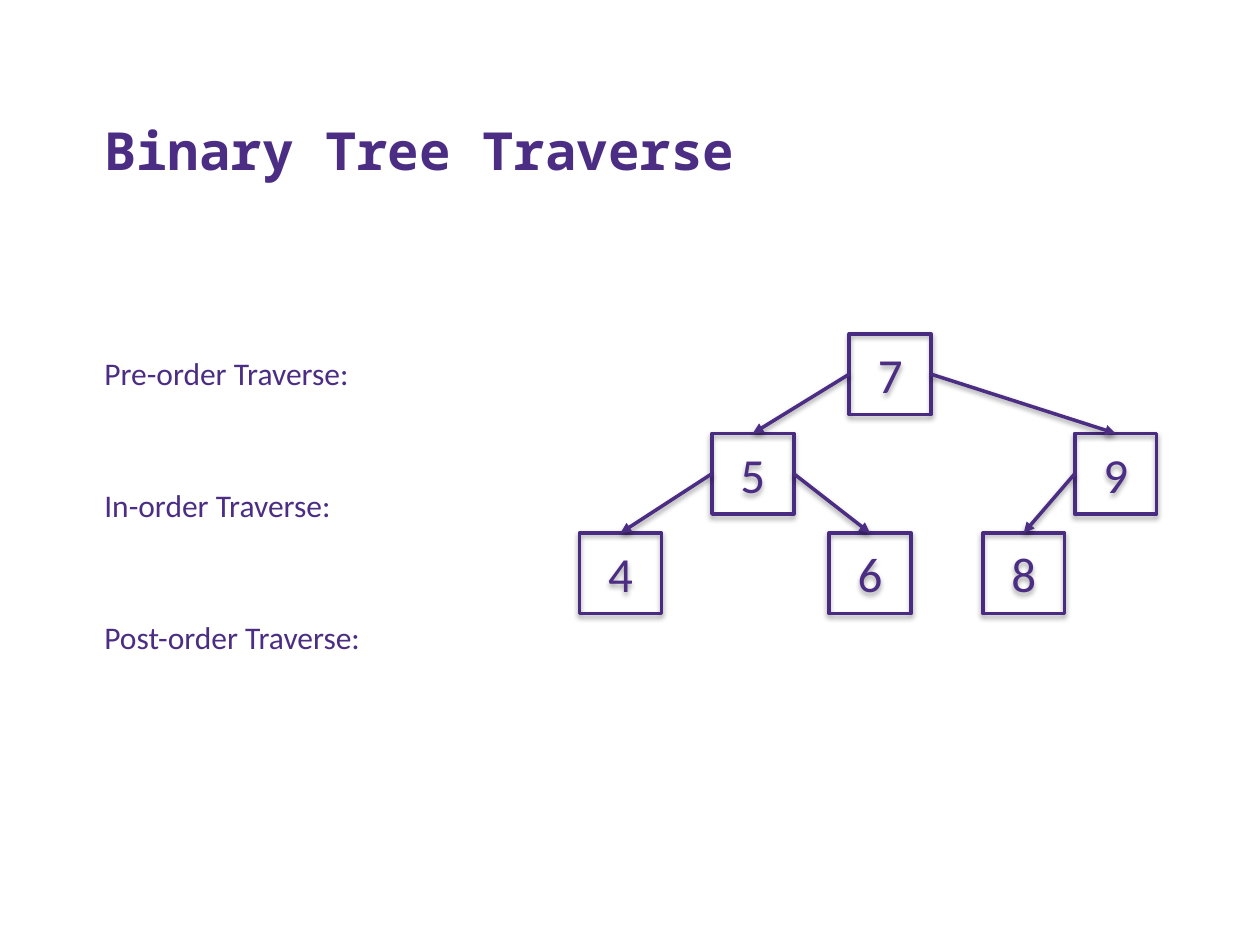
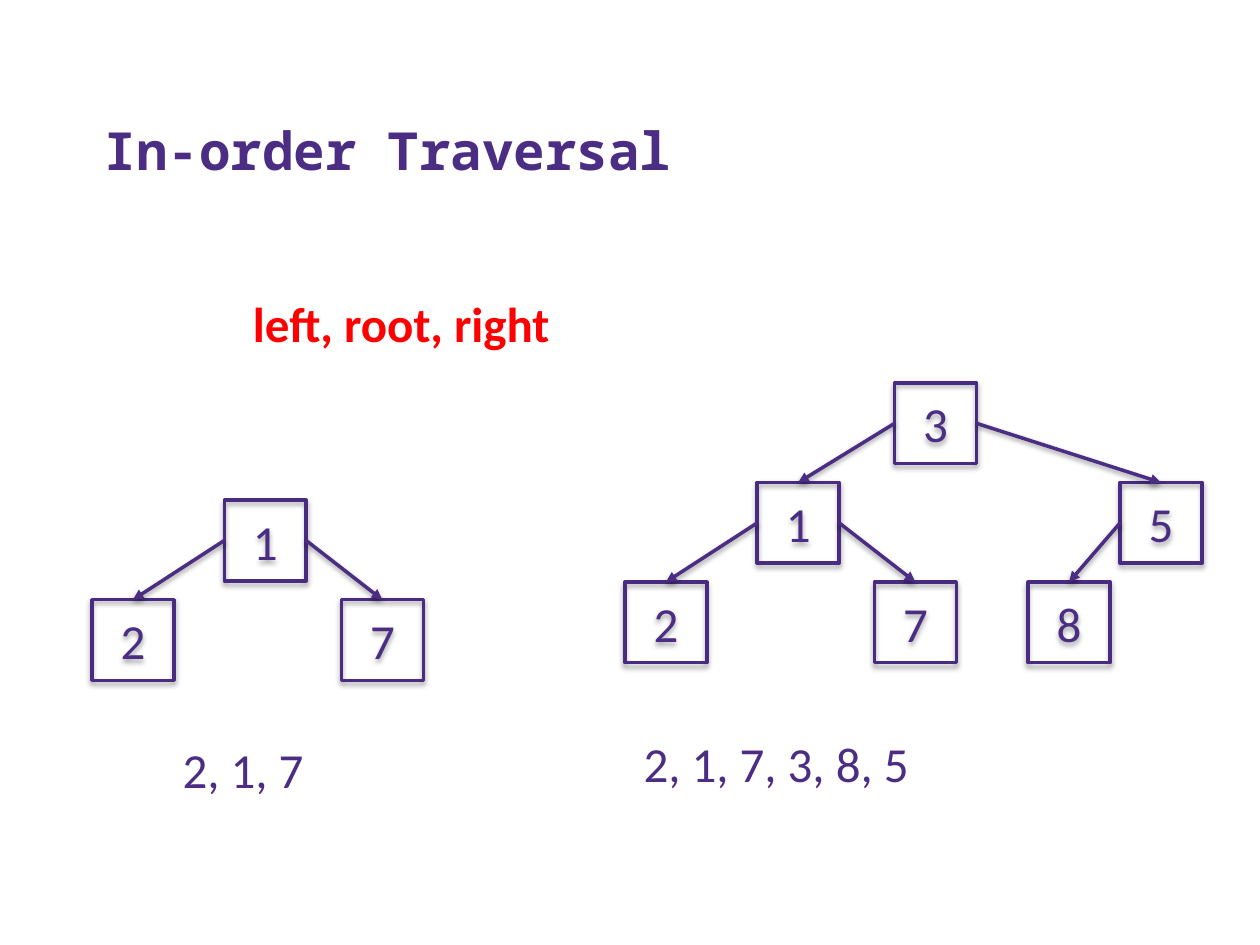
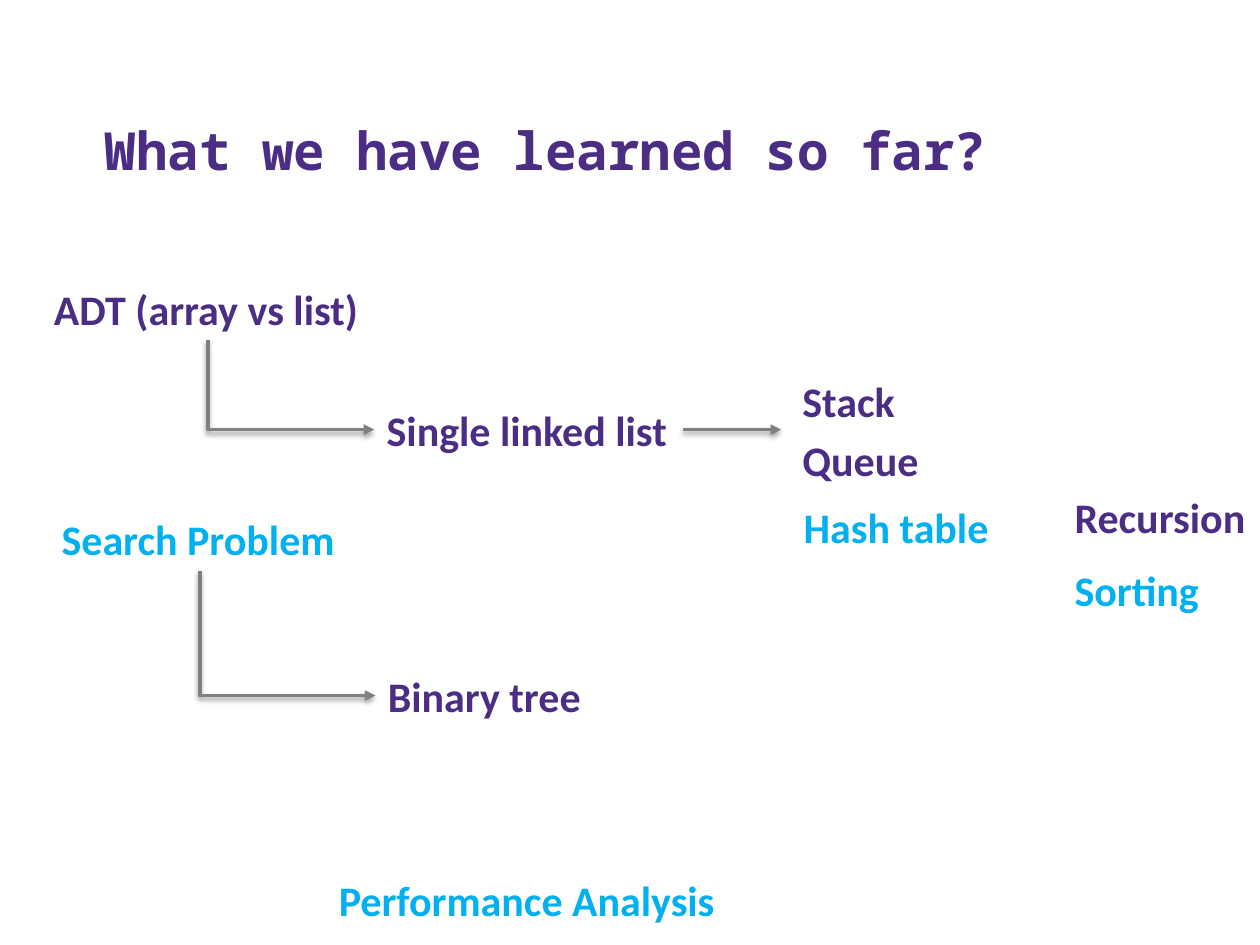
from lxml import etree
from pptx import Presentation
from pptx.dml.color import RGBColor
from pptx.enum.shapes import MSO_CONNECTOR as Connector, MSO_SHAPE as Preset
from pptx.enum.text import MSO_ANCHOR as Anchor, MSO_AUTO_SIZE as AutoSize, PP_ALIGN as Align
from pptx.oxml.ns import qn
from pptx.util import Inches, Pt

COLORS = {"purple": "4B2E83", "border": "492B82", "red": "FF0000",
          "blue": "00B0F0", "gray": "808080", "shadow": "000000"}
TITLE_FONT, BODY_FONT = "Noto Sans Mono", "Calibri"
TITLE_BOX = (0.73, 0.41, 8.95, 1.08)
TOP, LEFT, RIGHT = 0, 1, 3
BOTTOM = 2

# Tree grid: a path names a node by its turns from the root
NODE_WIDTH, NODE_HEIGHT, LEVEL_STEP = 0.65, 0.64, 0.79
SIDE_STEP = {"L": -1.09, "R": 1.79, "LL": -1.05, "LR": 0.93, "RL": -0.73}

# Slide 1: labels at equal gaps and one tree
TRAVERSES = [("Pre-order Traverse:", 2.16), ("In-order Traverse:", 2.02),
             ("Post-order Traverse:", 2.25)]
TRAVERSE_LEFT, TRAVERSE_TOP, TRAVERSE_STEP = 0.73, 2.76, 1.05
TRAVERSE_TREE = {"": 7, "L": 5, "R": 9, "RL": 8, "LL": 4, "LR": 6}

# Slide 2: trees as (values, root left, root top), texts as (text, box, color, bold)
IN_ORDER_TREES = [
    ({"": 3, "L": 1, "R": 5, "RL": 8, "LL": 2, "LR": 7}, 7.1, 3.04),
    ({"L": 1, "LL": 2, "LR": 7}, 1.78, 3.97),
]
IN_ORDER_TEXTS = [
    ("left, root, right", (1.91, 2.28, 2.6, 0.57), "red", True),
    ("2, 1, 7", (1.35, 5.82, 1.18, 0.57), "purple", False),
    ("2, 1, 7, 3, 8, 5", (5.01, 5.77, 2.34, 0.57), "purple", False),
]

# Slide 3: topics as (text, left, top, width, color, wrap)
TOPIC_HEIGHT = 0.5
TOPICS = [
    ("ADT (array vs list)", 0.33, 2.2, 2.64, "purple", False),
    ("Single linked list", 2.97, 3.16, 2.45, "purple", False),
    ("Recursion", 8.43, 3.85, 1.57, "purple", False),
    ("Search Problem", 0.39, 4.03, 2.39, "blue", False),
    ("Binary tree", 2.98, 5.27, 3.09, "purple", True),
    ("Sorting", 8.43, 4.43, 1.2, "blue", False),
    ("Hash table", 6.28, 3.93, 1.72, "blue", True),
    ("Stack", 6.27, 2.93, 0.94, "purple", False),
    ("Queue", 6.27, 3.4, 1.13, "purple", False),
    ("Performance Analysis", 2.59, 6.89, 3.22, "blue", False),
]
TOPIC_LINKS = [("ADT (array vs list)", "Single linked list"),
               ("Search Problem", "Binary tree")]
QUEUE_ARROW_END = 6.2


def color(name):
    return RGBColor.from_string(COLORS[name])


def inches(*lengths):
    return [Inches(length) for length in lengths]


def add_run(paragraph, text, size, color_name="purple", bold=False, font=BODY_FONT):
    run = paragraph.add_run()
    run.text = text
    run.font.name, run.font.size, run.font.bold = font, Pt(size), bold
    run.font.color.rgb = color(color_name)


def add_text(slide, text, box, size, color_name="purple", bold=False, wrap=False):
    shape = slide.shapes.add_textbox(*inches(*box))
    frame = shape.text_frame
    frame.word_wrap = wrap
    frame.auto_size = AutoSize.SHAPE_TO_FIT_TEXT
    add_run(frame.paragraphs[0], text, size, color_name, bold)
    return shape


def style_line(shape, color_name, opacity, distance):
    """Draw a 2 pt line and a soft shadow straight below it."""
    shape.line.color.rgb = color(color_name)
    shape.line.width = Pt(2)
    effects = etree.SubElement(shape.element.spPr, qn("a:effectLst"))
    shadow = etree.SubElement(effects, qn("a:outerShdw"), blurRad=str(Pt(3.1)),
                              dist=str(Pt(distance)), dir="5400000", rotWithShape="0")
    shade = etree.SubElement(shadow, qn("a:srgbClr"), val=COLORS["shadow"])
    etree.SubElement(shade, qn("a:alpha"), val=str(opacity * 1000))


def style_arrow(connector, color_name):
    style_line(connector, color_name, 38, 1.6)
    line = connector.element.spPr.find(qn("a:ln"))
    etree.SubElement(line, qn("a:tailEnd"), type="triangle")


def add_tree(slide, values, left, top):
    group = slide.shapes.add_group_shape()
    nodes, places = {}, {}
    for path_name, value in values.items():
        parent = path_name[:-1]
        if parent in nodes:
            parent_left, parent_top = places[parent]
            place = parent_left + SIDE_STEP[path_name], parent_top + LEVEL_STEP
        else:
            place = left, top
        node = group.shapes.add_shape(
            Preset.RECTANGLE, *inches(*place, NODE_WIDTH, NODE_HEIGHT))
        node.fill.background()
        style_line(node, "border", 35, 1.8)
        node.text_frame.vertical_anchor = Anchor.MIDDLE
        paragraph = node.text_frame.paragraphs[0]
        paragraph.alignment = Align.CENTER
        add_run(paragraph, str(value), 28)
        if parent in nodes:
            origin = nodes[parent]
            arrow = group.shapes.add_connector(
                Connector.STRAIGHT, origin.left, origin.top, node.left, node.top)
            arrow.begin_connect(origin, LEFT if path_name[-1] == "L" else RIGHT)
            arrow.end_connect(node, TOP)
            style_arrow(arrow, "purple")
        nodes[path_name], places[path_name] = node, place


def add_elbow(slide, origin, target):
    """Go down from the origin's bottom, then right to the target's left side."""
    elbow = slide.shapes.add_connector(Connector.ELBOW, 0, 0, 0, 0)
    elbow.begin_connect(origin, BOTTOM)
    elbow.end_connect(target, LEFT)
    start_x, start_y = elbow.begin_x, elbow.begin_y
    run, drop = elbow.end_x - start_x, elbow.end_y - start_y
    elbow.left, elbow.top = start_x + (run - drop) // 2, start_y + (drop - run) // 2
    elbow.width, elbow.height = drop, run
    properties = elbow.element.spPr
    frame = properties.find(qn("a:xfrm"))
    frame.set("rot", str(270 * 60000))
    frame.set("flipH", "1")
    properties.find(qn("a:prstGeom")).set("prst", "bentConnector2")
    style_arrow(elbow, "gray")


def add_slide(presentation, title):
    slide = presentation.slides.add_slide(presentation.slide_layouts[5])
    paragraph = slide.shapes.title.text_frame.paragraphs[0]
    paragraph.alignment = Align.LEFT
    add_run(paragraph, title, 30, bold=True, font=TITLE_FONT)
    return slide


def main():
    presentation = Presentation()
    presentation.slide_width, presentation.slide_height = inches(10, 7.5)

    # Shared title style
    title = presentation.slide_layouts[5].placeholders[0]
    title.left, title.top, title.width, title.height = inches(*TITLE_BOX)
    title.text_frame.vertical_anchor = Anchor.BOTTOM
    title.text_frame.auto_size = AutoSize.NONE

    # Traverse exercise
    slide = add_slide(presentation, "Binary Tree Traverse")
    add_tree(slide, TRAVERSE_TREE, 6.74, 2.65)
    for row, (text, width) in enumerate(TRAVERSES):
        top = TRAVERSE_TOP + row * TRAVERSE_STEP
        add_text(slide, text, (TRAVERSE_LEFT, top, width, 0.4), 18)

    # In-order examples
    slide = add_slide(presentation, "In-order Traversal")
    for values, left, top in IN_ORDER_TREES:
        add_tree(slide, values, left, top)
    for text, box, color_name, bold in IN_ORDER_TEXTS:
        add_text(slide, text, box, 28, color_name, bold)

    # Topic map
    slide = add_slide(presentation, "What we have learned so far?")
    topics = {}
    for text, left, top, width, color_name, wrap in TOPICS:
        topics[text] = add_text(slide, text, (left, top, width, TOPIC_HEIGHT), 24,
                                color_name, True, wrap)
    linked_list = topics["Single linked list"]
    middle = linked_list.top + linked_list.height // 2
    arrow = slide.shapes.add_connector(
        Connector.STRAIGHT, linked_list.left + linked_list.width, middle,
        Inches(QUEUE_ARROW_END), middle)
    arrow.begin_connect(linked_list, RIGHT)
    style_arrow(arrow, "gray")
    for origin, target in TOPIC_LINKS:
        add_elbow(slide, topics[origin], topics[target])

    presentation.save("out.pptx")


if __name__ == "__main__":
    main()
